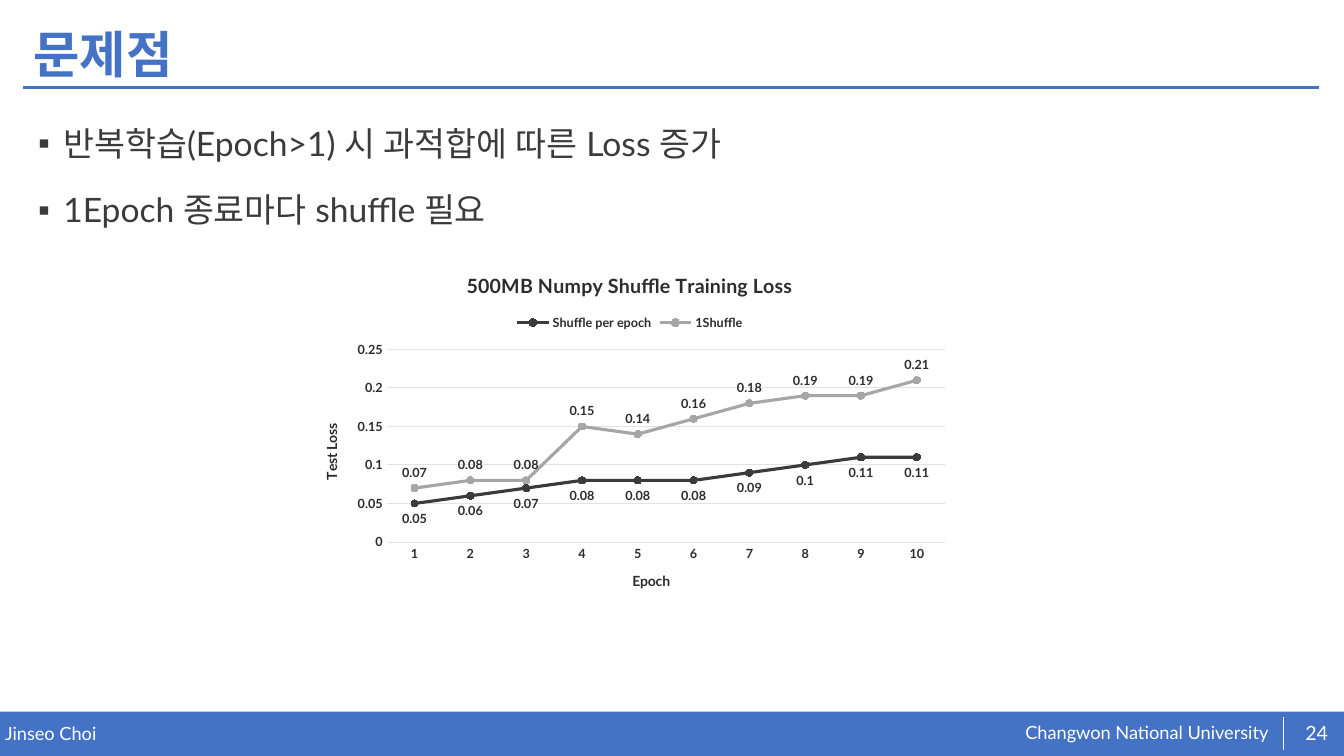
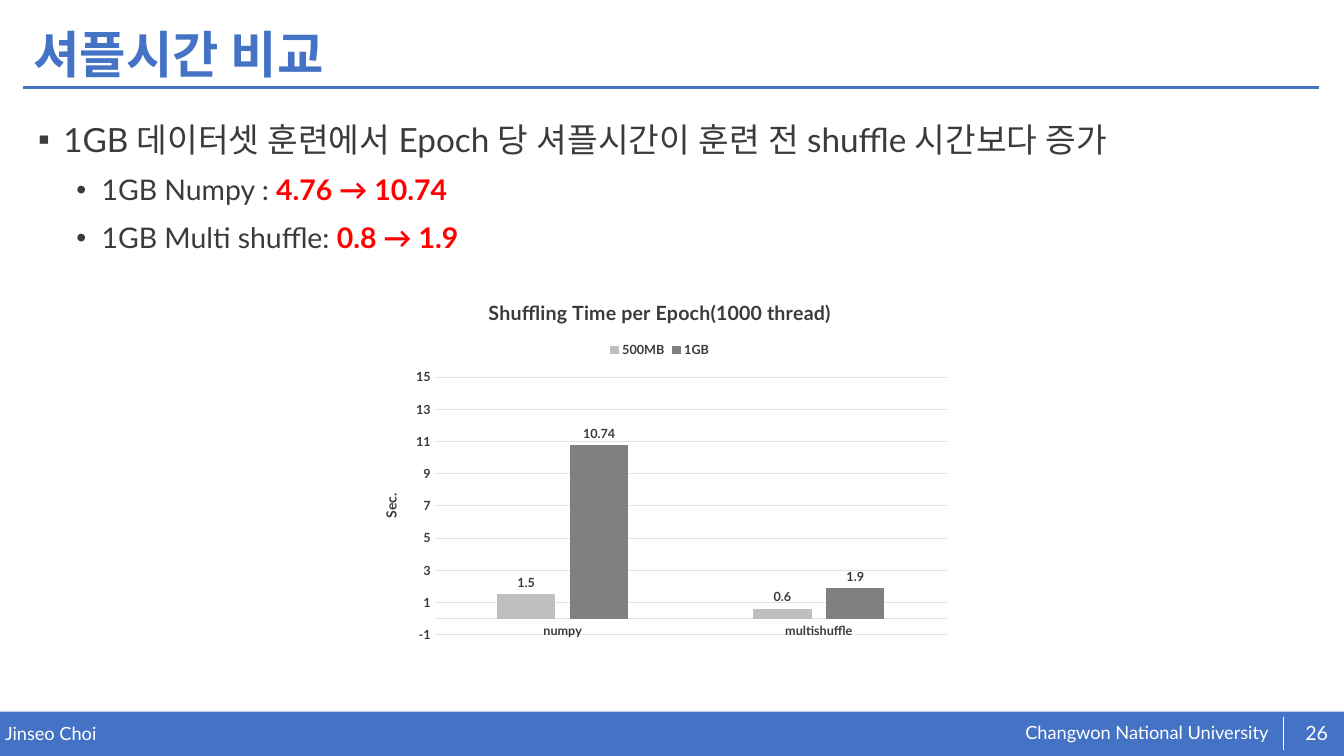
from lxml import etree
from pptx import Presentation
from pptx import util as u
from pptx.chart.data import CategoryChartData
from pptx.dml.color import RGBColor
from pptx.enum import chart as charts, shapes, text
from pptx.oxml.ns import qn

FONT = "Lato"
COLORS = {
    "blue": "4472C4", "white": "FFFFFF", "text": "3B3B3B", "chart_text": "2C2C2C",
    "red": "FF0000", "grid": "E2E2E2", "light": "BFBFBF", "silver": "A6A6A6", "gray": "808080",
}
AUTHOR = "Jinseo Choi"
SCHOOL = "Changwon National University"
BODY_LEFT, BODY_TOP, BODY_WIDTH = 0.28, 1.05, 12.86
LEVELS = [
    {"bullet": "▪", "margin": 0.25, "before": 10},
    {"bullet": "•", "margin": 0.63, "before": 5},
]
BELOW, ABOVE = charts.XL_LABEL_POSITION.BELOW, charts.XL_LABEL_POSITION.ABOVE
OUTSIDE = charts.XL_LABEL_POSITION.OUTSIDE_END

PAGES = [
    {
        "number": "24",
        "title": "문제점",
        "sizes": [24, 20],
        "spacing": 1.3,
        "bullets": [
            (0, "반복학습(Epoch>1) 시 과적합에 따른 Loss 증가", ""),
            (0, "1Epoch 종료마다 shuffle 필요", ""),
        ],
        "chart": {
            "type": charts.XL_CHART_TYPE.LINE_MARKERS,
            "box": (2.99, 2.53, 6.51, 3.53),
            "title": "500MB Numpy Shuffle Training Loss",
            "color": "chart_text",
            "axis_titles": ("Epoch", "Test Loss"),
            "scale": (0, 0.25, 0.05),
            "categories": [str(epoch) for epoch in range(1, 11)],
            "series": [
                ("Shuffle per epoch", "text", "text", BELOW,
                 [0.05, 0.06, 0.07, 0.08, 0.08, 0.08, 0.09, 0.1, 0.11, 0.11]),
                ("1Shuffle", "silver", "gray", ABOVE,
                 [0.07, 0.08, 0.08, 0.15, 0.14, 0.16, 0.18, 0.19, 0.19, 0.21]),
            ],
        },
    },
    {
        "number": "26",
        "title": "셔플시간 비교",
        "sizes": [23.8, 20.3],
        "spacing": 1.2,
        "bullets": [
            (0, "1GB 데이터셋 훈련에서 Epoch 당 셔플시간이 훈련 전 shuffle 시간보다 증가", ""),
            (1, "1GB Numpy : ", "4.76 → 10.74"),
            (1, "1GB Multi shuffle: ", "0.8 → 1.9"),
        ],
        "chart": {
            "type": charts.XL_CHART_TYPE.COLUMN_CLUSTERED,
            "box": (3.58, 2.8, 5.93, 3.65),
            "title": "Shuffling Time per Epoch(1000 thread)",
            "color": "text",
            "axis_titles": ("", "Sec."),
            "scale": (-1, 15, 2),
            "categories": ["numpy", "multishuffle"],
            "series": [
                ("500MB", "light", None, OUTSIDE, [1.5, 0.6]),
                ("1GB", "gray", None, OUTSIDE, [10.74, 1.9]),
            ],
        },
    },
]


def rgb(name):
    return RGBColor.from_string(COLORS[name])


def inches(*values):
    return [u.Inches(value) for value in values]


def style_font(font, size, color, bold=False):
    font.name = FONT
    font.size = u.Pt(size)
    font.bold = bold
    font.color.rgb = rgb(color)


def style_run(run, size, color, bold=False):
    style_font(run.font, size, color, bold)
    latin = run.font._element.find(qn("a:latin"))
    east_asian = etree.Element(qn("a:ea"), typeface=FONT)
    latin.addnext(east_asian)


def set_line(line, color, width):
    line.color.rgb = rgb(color)
    line.width = u.Pt(width)


def add_label(slide, box, label, size, centered=False):
    shape = slide.shapes.add_textbox(*inches(*box))
    frame = shape.text_frame
    frame.word_wrap = True
    frame.margin_left = frame.margin_right = frame.margin_top = frame.margin_bottom = 0
    frame.text = label
    if centered:
        frame.vertical_anchor = text.MSO_ANCHOR.MIDDLE
        frame.paragraphs[0].alignment = text.PP_ALIGN.CENTER
    style_run(frame.paragraphs[0].runs[0], size, "white")
    return shape


def add_rule(slide, ends, color, width):
    connector = slide.shapes.add_connector(shapes.MSO_CONNECTOR.STRAIGHT, *inches(*ends))
    set_line(connector.line, color, width)
    etree.SubElement(connector.element.spPr, qn("a:effectLst"))
    return connector


def fill_layout(layout, slide):
    for placeholder in list(layout.placeholders):
        if placeholder.placeholder_format.type != shapes.PP_PLACEHOLDER.TITLE:
            placeholder.element.getparent().remove(placeholder.element)
    band = slide.shapes.add_shape(shapes.MSO_SHAPE.RECTANGLE, *inches(0, 7.06, 13.33, 0.44))
    band.shadow.inherit = False
    band.fill.solid()
    band.fill.fore_color.rgb = rgb("blue")
    band.line.fill.background()
    shared = [
        band,
        add_label(slide, (10.17, 7.16, 2.5, 0.23), SCHOOL, 13),
        add_label(slide, (0.05, 7.17, 6.55, 0.22), AUTHOR, 13),
        add_rule(slide, (0.23, 0.87, 13.08, 0.87), "blue", 2),
        add_rule(slide, (12.73, 7.11, 12.73, 7.44), "white", 0.5),
    ]
    for shape in shared:
        layout.shapes.element.append(shape.element)


def set_title(slide, title):
    shape = slide.shapes.title
    shape.left, shape.top, shape.width, shape.height = inches(0.23, 0.18, 12.86, 0.77)
    frame = shape.text_frame
    frame.text = title
    frame.auto_size = text.MSO_AUTO_SIZE.NONE
    frame.vertical_anchor = text.MSO_ANCHOR.MIDDLE
    paragraph = frame.paragraphs[0]
    paragraph.alignment = text.PP_ALIGN.LEFT
    paragraph.line_spacing = 0.9
    style_run(paragraph.runs[0], 36, "blue", True)


def add_bullets(slide, page):
    height = page["chart"]["box"][1] - BODY_TOP
    frame = slide.shapes.add_textbox(*inches(BODY_LEFT, BODY_TOP, BODY_WIDTH, height)).text_frame
    frame.word_wrap = True
    for index, (level, label, highlight) in enumerate(page["bullets"]):
        style, size = LEVELS[level], page["sizes"][level]
        paragraph = frame.add_paragraph() if index else frame.paragraphs[0]
        paragraph.level = level
        paragraph.line_spacing = page["spacing"]
        paragraph.space_before = u.Pt(style["before"] if index else 0)
        properties = paragraph._p.get_or_add_pPr()
        properties.set("marL", str(u.Inches(style["margin"])))
        properties.set("indent", str(u.Inches(-0.25)))
        etree.SubElement(properties, qn("a:buFont"), typeface="Arial")
        etree.SubElement(properties, qn("a:buChar"), char=style["bullet"])
        for words, color in ((label, "text"), (highlight, "red")):
            if words:
                run = paragraph.add_run()
                run.text = words
                style_run(run, size, color, color == "red")


def title_axis(axis, title, color):
    axis.has_title = bool(title)
    if title:
        axis.axis_title.text_frame.text = title
        style_font(axis.axis_title.text_frame.paragraphs[0].runs[0].font, 10, color, True)


def style_axes(chart, content):
    color = content["color"]
    category, value = chart.category_axis, chart.value_axis
    for axis, title in zip((category, value), content["axis_titles"]):
        title_axis(axis, title, color)
        axis.major_tick_mark = axis.minor_tick_mark = charts.XL_TICK_MARK.NONE
        style_font(axis.tick_labels.font, 9, color, True)
    category.has_major_gridlines = False
    set_line(category.format.line, "grid", 0.75)
    value.format.line.fill.background()
    value.has_major_gridlines = True
    set_line(value.major_gridlines.format.line, "grid", 0.75)
    value.minimum_scale, value.maximum_scale, value.major_unit = content["scale"]


def style_series(series, content, color, marker_color, position):
    if marker_color:
        series.smooth = False
        set_line(series.format.line, color, 2.25)
        series.marker.style = charts.XL_MARKER_STYLE.CIRCLE
        series.marker.size = 5
        series.marker.format.fill.solid()
        series.marker.format.fill.fore_color.rgb = rgb(marker_color)
        set_line(series.marker.format.line, color, 0.75)
    else:
        series.format.fill.solid()
        series.format.fill.fore_color.rgb = rgb(color)
        set_line(series.format.line, color, 0.75)
    labels = series.data_labels
    labels.show_value = True
    labels.position = position
    style_font(labels.font, 9, content["color"], True)


def add_loss_or_time_chart(slide, content):
    data = CategoryChartData()
    data.categories = content["categories"]
    for name, *_, values in content["series"]:
        data.add_series(name, values)
    chart = slide.shapes.add_chart(content["type"], *inches(*content["box"]), data).chart
    style_font(chart.font, 10, content["color"])
    chart.has_title = True
    chart.chart_title.text_frame.text = content["title"]
    style_font(chart.chart_title.text_frame.paragraphs[0].runs[0].font, 14, content["color"], True)
    chart.has_legend = True
    chart.legend.position = charts.XL_LEGEND_POSITION.TOP
    chart.legend.include_in_layout = False
    style_font(chart.legend.font, 9, content["color"], True)
    style_axes(chart, content)
    plot = chart.plots[0]
    plot.vary_by_categories = False
    if content["type"] == charts.XL_CHART_TYPE.COLUMN_CLUSTERED:
        plot.gap_width, plot.overlap = 219, -27
    for series, (_, color, marker_color, position, _) in zip(plot.series, content["series"]):
        style_series(series, content, color, marker_color, position)


def main():
    presentation = Presentation()
    presentation.slide_width, presentation.slide_height = inches(13.33, 7.5)
    layout = presentation.slide_layouts[5]
    slides = [presentation.slides.add_slide(layout) for _ in PAGES]
    fill_layout(layout, slides[0])
    for slide, page in zip(slides, PAGES):
        set_title(slide, page["title"])
        add_bullets(slide, page)
        add_loss_or_time_chart(slide, page["chart"])
        add_label(slide, (12.82, 7.07, 0.48, 0.4), page["number"], 14, centered=True)
    presentation.save("out.pptx")


if __name__ == "__main__":
    main()
